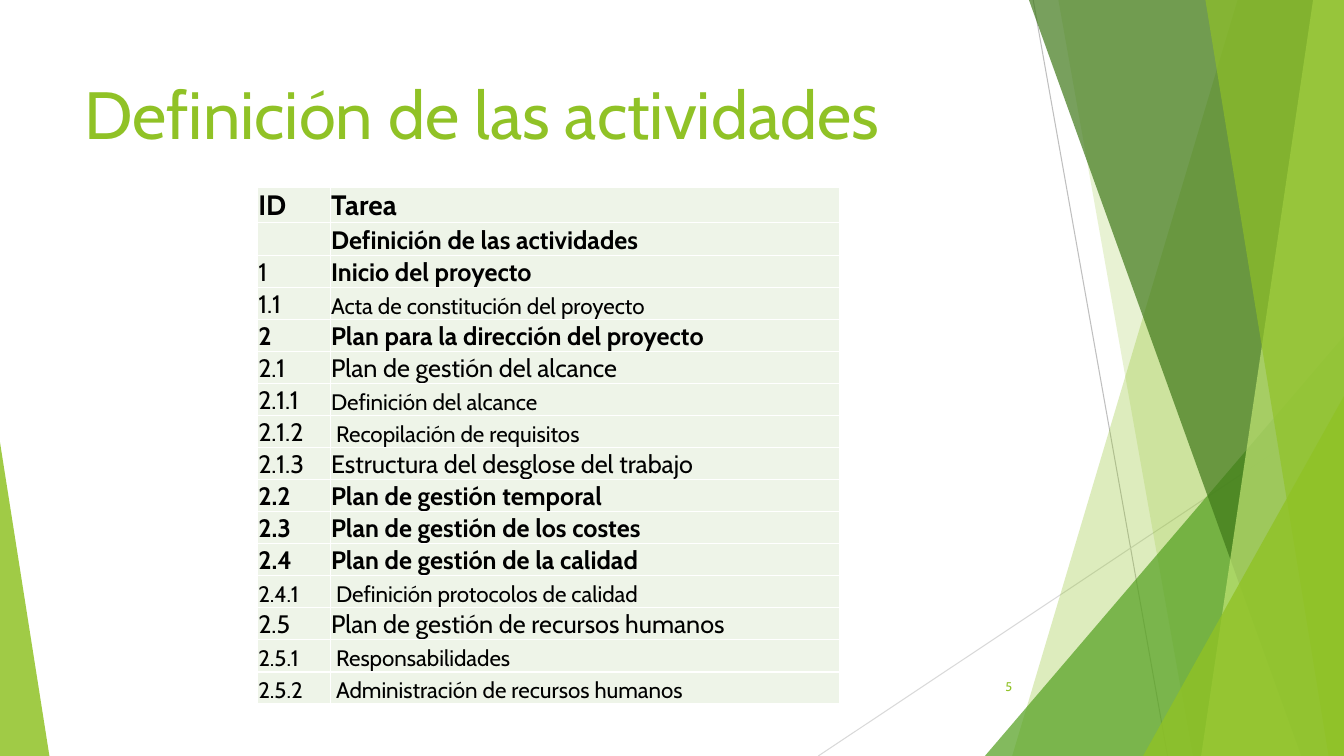
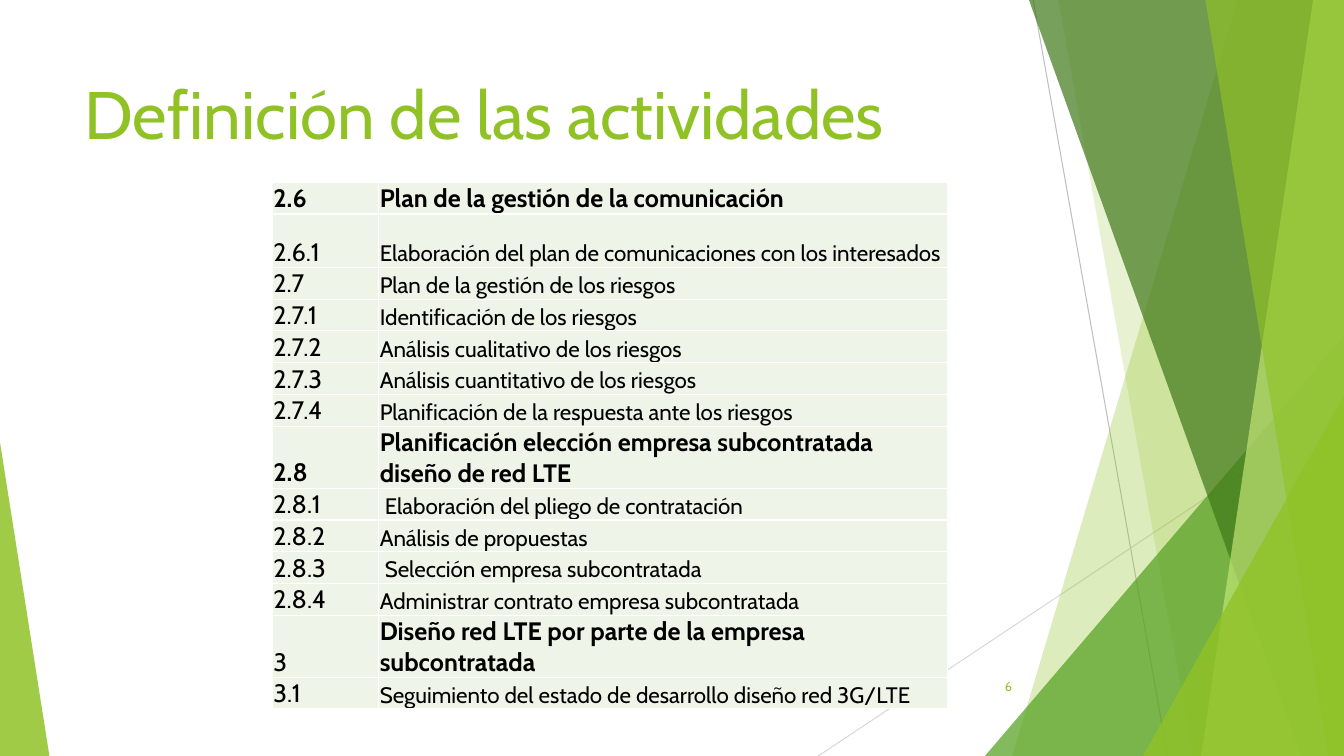
import dataclasses

import lxml.etree
import pptx
import pptx.dml.color
import pptx.enum.shapes
import pptx.enum.text
import pptx.oxml.ns
import pptx.util

Pt = pptx.util.Pt
qn = pptx.oxml.ns.qn


@dataclasses.dataclass(frozen=True)
class Theme:
    width: float = 960
    height: float = 540
    font: str = "Cabin"
    # Colours
    lime: str = "90C226"
    pale_lime: str = "C0E474"
    green: str = "54A021"
    dark_green: str = "3F7819"
    gray: str = "BFBFBF"
    light_gray: str = "D9D9D9"
    black: str = "000000"
    white: str = "FFFFFF"
    cell: str = "EEF4E8"
    # Type sizes
    page_size: float = 9
    border: float = 1
    hairline: float = 0.75
    cell_inset: float = 0.7


THEME = Theme()

# Cell text styles: size and weight
HEAD = {"size": 20, "bold": True}
BOLD = {"size": 18, "bold": True}
PLAIN = {"size": 18}
SMALL = {"size": 16}

# Each task row: ID, ID style, task, task style, row height
SINGLE_1, SINGLE_2, DOUBLE = 22.9, 22.7, 44.4
TASKS_1 = [
    ("ID", HEAD, "Tarea", HEAD, 25),
    ("", PLAIN, "Definición de las actividades", BOLD, 23.6),
    ("1", PLAIN, "Inicio del proyecto", BOLD, SINGLE_1),
    ("1.1", PLAIN, "Acta de constitución del proyecto", SMALL, SINGLE_1),
    ("2", BOLD, "Plan para la dirección del proyecto", BOLD, SINGLE_1),
    ("2.1", PLAIN, "Plan de gestión del alcance", PLAIN, SINGLE_1),
    ("2.1.1", PLAIN, "Definición del alcance", SMALL, SINGLE_1),
    ("2.1.2", PLAIN, " Recopilación de requisitos", SMALL, SINGLE_1),
    ("2.1.3", PLAIN, "Estructura del desglose del trabajo", PLAIN, SINGLE_1),
    ("2.2", BOLD, "Plan de gestión temporal", BOLD, SINGLE_1),
    ("2.3", BOLD, "Plan de gestión de los costes", BOLD, SINGLE_1),
    ("2.4", BOLD, "Plan de gestión de la calidad", BOLD, SINGLE_1),
    ("2.4.1", SMALL, " Definición protocolos de calidad", SMALL, SINGLE_1),
    ("2.5", PLAIN, "Plan de gestión de recursos humanos", PLAIN, SINGLE_1),
    ("2.5.1", SMALL, " Responsabilidades", SMALL, SINGLE_1),
    ("2.5.2", SMALL, " Administración de recursos humanos", SMALL, SINGLE_1),
]
TASKS_2 = [
    ("2.6", BOLD, "Plan de la gestión de la comunicación", BOLD, 21.8),
    ("2.6.1", PLAIN, "Elaboración del plan de comunicaciones con los interesados", SMALL, 38.2),
    ("2.7", PLAIN, "Plan de la gestión de los riesgos", SMALL, SINGLE_2),
    ("2.7.1", PLAIN, "Identificación de los riesgos", SMALL, SINGLE_2),
    ("2.7.2", PLAIN, "Análisis cualitativo de los riesgos", SMALL, SINGLE_2),
    ("2.7.3", PLAIN, "Análisis cuantitativo de los riesgos", SMALL, SINGLE_2),
    ("2.7.4", PLAIN, "Planificación de la respuesta ante los riesgos", SMALL, SINGLE_2),
    ("2.8", BOLD, "Planificación elección empresa subcontratada diseño de red LTE", BOLD, DOUBLE),
    ("2.8.1", PLAIN, " Elaboración del pliego de contratación", SMALL, SINGLE_2),
    ("2.8.2", PLAIN, "Análisis de propuestas", SMALL, SINGLE_2),
    ("2.8.3", PLAIN, " Selección empresa subcontratada", SMALL, SINGLE_2),
    ("2.8.4", PLAIN, "Administrar contrato empresa subcontratada", SMALL, SINGLE_2),
    ("3", PLAIN, "Diseño red LTE por parte de la empresa subcontratada", BOLD, DOUBLE),
    ("3.1", PLAIN, "Seguimiento del estado de desarrollo diseño red 3G/LTE", SMALL, 22.2),
]


def rgb(color):
    return pptx.dml.color.RGBColor.from_string(color)


def write_text(frame, text, size=18, bold=False, color=THEME.black, align=None):
    frame.word_wrap = True
    para = frame.paragraphs[0]
    para.alignment = align
    para.font.size = Pt(size)
    if text:
        span = para.add_run()
        span.text = text
        span.font.name = THEME.font
        span.font.size = Pt(size)
        span.font.bold = bold
        span.font.color.rgb = rgb(color)


def add_text_box(page, text, left, top, width, height, middle=False, **style):
    box = page.shapes.add_textbox(Pt(left), Pt(top), Pt(width), Pt(height))
    if middle:
        box.text_frame.vertical_anchor = pptx.enum.text.MSO_ANCHOR.MIDDLE
    write_text(box.text_frame, text, **style)


# Background decoration
def paint(shape, color, opacity):
    shape.shadow.inherit = False
    shape.fill.solid()
    shape.fill.fore_color.rgb = rgb(color)
    tint = shape.element.spPr.find(qn("a:solidFill")).find(qn("a:srgbClr"))
    lxml.etree.SubElement(tint, qn("a:alpha"), val=str(opacity * 1000))
    shape.line.fill.background()


def add_line(page, start, end, color):
    line = page.shapes.add_connector(
        pptx.enum.shapes.MSO_CONNECTOR.STRAIGHT, *map(Pt, start + end))
    line.line.color.rgb = rgb(color)
    line.line.width = Pt(THEME.hairline)
    lxml.etree.SubElement(line.element.spPr, qn("a:effectLst"))


def add_band(page, top_x, bottom_x, color, opacity):
    """Fill the slide from a slanted left edge to its right edge."""
    right, bottom = Pt(THEME.width), Pt(THEME.height)
    outline = page.shapes.build_freeform(Pt(top_x), 0, scale=1.0)
    outline.add_line_segments(
        [(right, 0), (right, bottom), (Pt(bottom_x), bottom)], close=True)
    paint(outline.convert_to_shape(), color, opacity)


def add_corner(page, width, height, color, opacity, on_right=True):
    """Set a right triangle in a bottom corner of the slide."""
    left = THEME.width - width if on_right else 0
    corner = page.shapes.add_shape(
        pptx.enum.shapes.MSO_SHAPE.ISOSCELES_TRIANGLE,
        Pt(left), Pt(THEME.height - height), Pt(width), Pt(height))
    corner.adjustments[0] = 1 if on_right else 0
    paint(corner, color, opacity)


def add_decoration(page):
    add_line(page, (738, 0), (834, THEME.height), THEME.gray)
    add_line(page, (THEME.width, 290), (584.5, THEME.height), THEME.light_gray)
    add_band(page, 884, 723, THEME.lime, 30)
    add_band(page, 756, 852, THEME.lime, 20)
    add_corner(page, 256.5, 300, THEME.green, 72)
    add_band(page, 735, 929.5, THEME.dark_green, 70)
    add_band(page, 938, 858, THEME.pale_lime, 70)
    add_band(page, 861, 949, THEME.lime, 65)
    add_corner(page, 143.5, 257, THEME.lime, 80)
    add_corner(page, 35.3, 224, THEME.lime, 85, on_right=False)


# Task table
def format_cell(cell, text, style):
    cell.margin_left = cell.margin_right = cell.margin_top = Pt(THEME.cell_inset)
    cell.margin_bottom = 0
    cell.vertical_anchor = pptx.enum.text.MSO_ANCHOR.BOTTOM
    properties = cell._tc.get_or_add_tcPr()
    for side in ("lnL", "lnR", "lnT", "lnB"):
        border = lxml.etree.SubElement(
            properties, qn(f"a:{side}"), w=str(Pt(THEME.border)))
        fill = lxml.etree.SubElement(border, qn("a:solidFill"))
        lxml.etree.SubElement(fill, qn("a:srgbClr"), val=THEME.white)
    cell.fill.solid()
    cell.fill.fore_color.rgb = rgb(THEME.cell)
    write_text(cell.text_frame, text, **style)


def add_task_table(page, tasks, left, top, widths):
    height = sum(task[-1] for task in tasks)
    table = page.shapes.add_table(
        len(tasks), len(widths),
        Pt(left), Pt(top), Pt(sum(widths)), Pt(height)).table
    table.first_row = table.horz_banding = False
    for column, width in zip(table.columns, widths):
        column.width = Pt(width)
    for row, (number, number_style, name, name_style, row_height) in zip(table.rows, tasks):
        row.height = Pt(row_height)
        format_cell(row.cells[0], number, number_style)
        format_cell(row.cells[1], name, name_style)


def add_page(deck, number, title_size, tasks, left, top, widths):
    page = deck.slides.add_slide(deck.slide_layouts[6])
    add_decoration(page)
    add_text_box(page, "Definición de las actividades", 53.3, 48.2, 676.8, 75,
                 size=title_size, color=THEME.lime)
    add_task_table(page, tasks, left, top, widths)
    add_text_box(page, str(number), 676, 476, 54, 28.8, middle=True,
                 size=THEME.page_size, color=THEME.lime,
                 align=pptx.enum.text.PP_ALIGN.RIGHT)


def main():
    deck = pptx.Presentation()
    deck.slide_width, deck.slide_height = Pt(THEME.width), Pt(THEME.height)
    add_page(deck, 5, 47.7, TASKS_1, 183.8, 134, (52, 364))
    add_page(deck, 6, 48, TASKS_2, 194.6, 130.5, (76, 406))
    deck.save("out.pptx")


if __name__ == "__main__":
    main()
